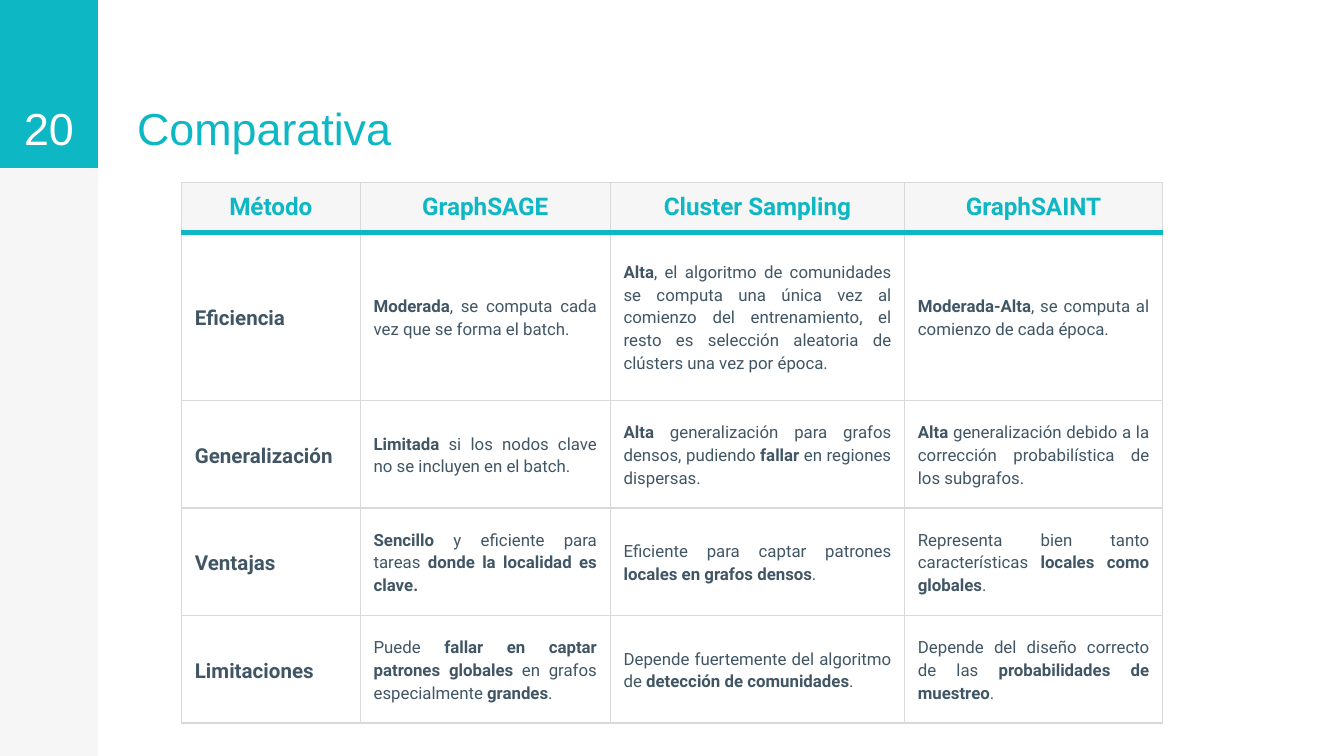
from lxml import etree
from pptx import Presentation
from pptx.dml.color import RGBColor
from pptx.enum.shapes import MSO_SHAPE
from pptx.enum.text import MSO_ANCHOR, MSO_AUTO_SIZE, PP_ALIGN
from pptx.oxml.ns import qn
from pptx.util import Inches, Pt

RECTANGLE = MSO_SHAPE.RECTANGLE
BOTTOM, MIDDLE = MSO_ANCHOR.BOTTOM, MSO_ANCHOR.MIDDLE
LEFT, CENTER, JUSTIFY = PP_ALIGN.LEFT, PP_ALIGN.CENTER, PP_ALIGN.JUSTIFY
NO_AUTOFIT = MSO_AUTO_SIZE.NONE
TITLE_ONLY = 5

SLIDE_WIDTH = 10
SLIDE_HEIGHT = SLIDE_WIDTH * 9 / 16
COLORS = {
    "accent": "0DB7C4",
    "panel": "F6F6F6",
    "body": "415665",
    "border": "D9D9D9",
    "white": "FFFFFF",
}
HEADING_FONT, TABLE_FONT = "Arial", "Roboto"
COLUMN_WIDTHS = [1.33, 1.86, 2.19, 1.92]
ROW_HEIGHTS = [0.37, 1.25, 0.8, 0.8, 0.8]
HEADERS = ["Método", "GraphSAGE", "Cluster Sampling", "GraphSAINT"]
ROWS = [
    [
        "*Eficiencia*",
        "*Moderada*, se computa cada vez que se forma el batch.",
        "*Alta*, el algoritmo de comunidades se computa una única vez al comienzo "
        "del entrenamiento, el resto es selección aleatoria de clústers una vez por época.",
        "*Moderada-Alta*, se computa al comienzo de cada época.",
    ],
    [
        "*Generalización*",
        "*Limitada *si los nodos clave no se incluyen en el batch.",
        "*Alta *generalización para grafos densos, pudiendo *fallar *en regiones dispersas.",
        "*Alta *generalización debido a la corrección probabilística de los subgrafos.",
    ],
    [
        "*Ventajas*",
        "*Sencillo* y eficiente para tareas *donde la localidad es clave.*",
        "Eficiente para captar patrones *locales en grafos densos*.",
        "Representa bien tanto características *locales como globales*.",
    ],
    [
        "*Limitaciones*",
        "Puede *fallar en captar patrones globales* en grafos especialmente *grandes*.",
        "Depende fuertemente del algoritmo de *detección de comunidades*.",
        "Depende del diseño correcto de las *probabilidades de muestreo*.",
    ],
]


def rgb(name):
    """Return the named colour."""
    return RGBColor.from_string(COLORS[name])


def format_paragraph(paragraph, font_name, size, color, alignment):
    """Set the font and alignment shared by all runs of a paragraph."""
    paragraph.font.name = font_name
    paragraph.font.size = Pt(size)
    paragraph.font.color.rgb = rgb(color)
    paragraph.alignment = alignment


def fill_heading(shape, text, color, alignment):
    """Write a bottom-anchored heading into a shape."""
    frame = shape.text_frame
    frame.text = text
    frame.word_wrap = True
    frame.auto_size = NO_AUTOFIT
    frame.vertical_anchor = BOTTOM
    frame.margin_left = frame.margin_right = Inches(0.1)
    frame.margin_top = frame.margin_bottom = Inches(0.1)
    format_paragraph(frame.paragraphs[0], HEADING_FONT, 24, color, alignment)


def add_sidebar(slide, left, top, width, height, number):
    """Draw the side strip with the page number in its accent block."""
    block_height = 1.25
    for part_height, color in ((height, "panel"), (block_height, "accent")):
        strip = slide.shapes.add_shape(
            RECTANGLE, Inches(left), Inches(top), Inches(width), Inches(part_height))
        strip.shadow.inherit = False
        strip.fill.solid()
        strip.fill.fore_color.rgb = rgb(color)
        strip.line.fill.background()
    label = slide.shapes.add_textbox(
        Inches(left), Inches(top), Inches(width), Inches(block_height))
    fill_heading(label, number, "white", CENTER)


def place_title(slide, left, top, width, height, text):
    """Move and format the title placeholder."""
    title = slide.shapes.title
    title.left, title.top = Inches(left), Inches(top)
    title.width, title.height = Inches(width), Inches(height)
    fill_heading(title, text, "accent", LEFT)


def set_border(cell, side, color, points):
    """Draw one border of a cell."""
    properties = cell._tc.get_or_add_tcPr()
    line = etree.SubElement(properties, qn(f"a:ln{side}"), w=str(Pt(points)))
    solid = etree.SubElement(line, qn("a:solidFill"))
    etree.SubElement(solid, qn("a:srgbClr"), val=COLORS[color])


def format_cell(cell, row):
    """Set the margins, borders and fill of a cell in the given row."""
    cell.vertical_anchor = MIDDLE
    cell.margin_left = cell.margin_right = Inches(0.1)
    cell.margin_top = cell.margin_bottom = Inches(0.07)
    thin, thick = ("border", 0.75), ("accent", 3)
    borders = {
        "L": thin,
        "R": thin,
        "T": thick if row == 1 else thin,
        "B": thick if row == 0 else thin,
    }
    for side, (color, points) in borders.items():
        set_border(cell, side, color, points)
    cell.fill.solid()
    cell.fill.fore_color.rgb = rgb("panel" if row == 0 else "white")


def fill_header_cell(cell, text):
    """Write a column heading."""
    cell.text = text
    paragraph = cell.text_frame.paragraphs[0]
    format_paragraph(paragraph, TABLE_FONT, 13, "accent", CENTER)
    paragraph.font.bold = True


def fill_body_cell(cell, text, size):
    """Write justified text in which asterisks enclose bold parts."""
    paragraph = cell.text_frame.paragraphs[0]
    format_paragraph(paragraph, TABLE_FONT, size, "body", JUSTIFY)
    paragraph.line_spacing = 1.15
    for index, part in enumerate(text.split("*")):
        if part:
            run = paragraph.add_run()
            run.text = part
            run.font.bold = index % 2 == 1


def add_comparison_table(slide, left, top, width, height):
    """Build the table that compares the sampling methods."""
    table = slide.shapes.add_table(
        len(ROW_HEIGHTS), len(COLUMN_WIDTHS),
        Inches(left), Inches(top), Inches(width), Inches(height)).table
    for column, column_width in zip(table.columns, COLUMN_WIDTHS):
        column.width = Inches(column_width)
    for row, row_height in zip(table.rows, ROW_HEIGHTS):
        row.height = Inches(row_height)
    for row_index, texts in enumerate([HEADERS] + ROWS):
        for column_index, text in enumerate(texts):
            cell = table.cell(row_index, column_index)
            format_cell(cell, row_index)
            if row_index == 0:
                fill_header_cell(cell, text)
            else:
                fill_body_cell(cell, text, 11 if column_index == 0 else 9)


def main():
    """Build and save the presentation."""
    presentation = Presentation()
    presentation.slide_width = Inches(SLIDE_WIDTH)
    presentation.slide_height = Inches(SLIDE_HEIGHT)
    slide = presentation.slides.add_slide(presentation.slide_layouts[TITLE_ONLY])
    add_sidebar(slide, 0, 0, 0.73, SLIDE_HEIGHT, "20")
    place_title(slide, 0.92, 0, 6.61, 1.25, "Comparativa")
    add_comparison_table(slide, 1.35, 1.36, sum(COLUMN_WIDTHS), sum(ROW_HEIGHTS))
    presentation.save("out.pptx")


if __name__ == "__main__":
    main()
